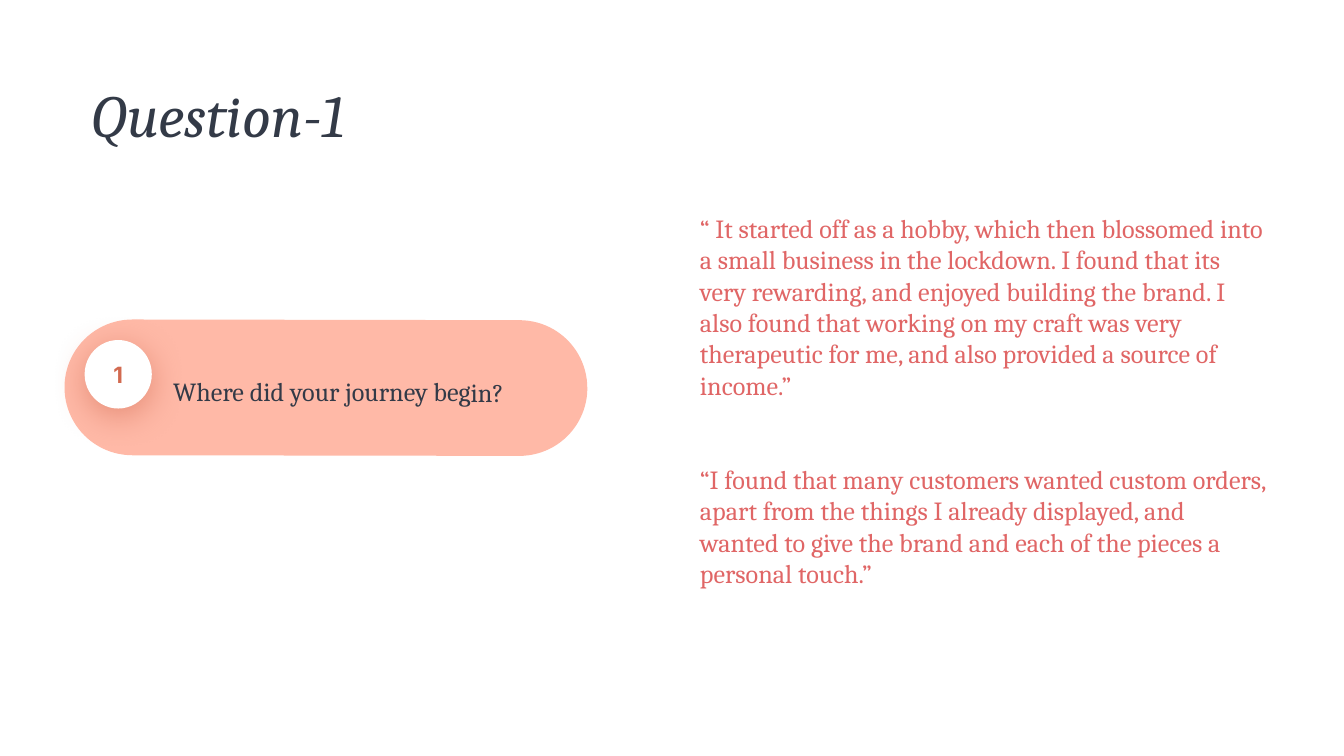
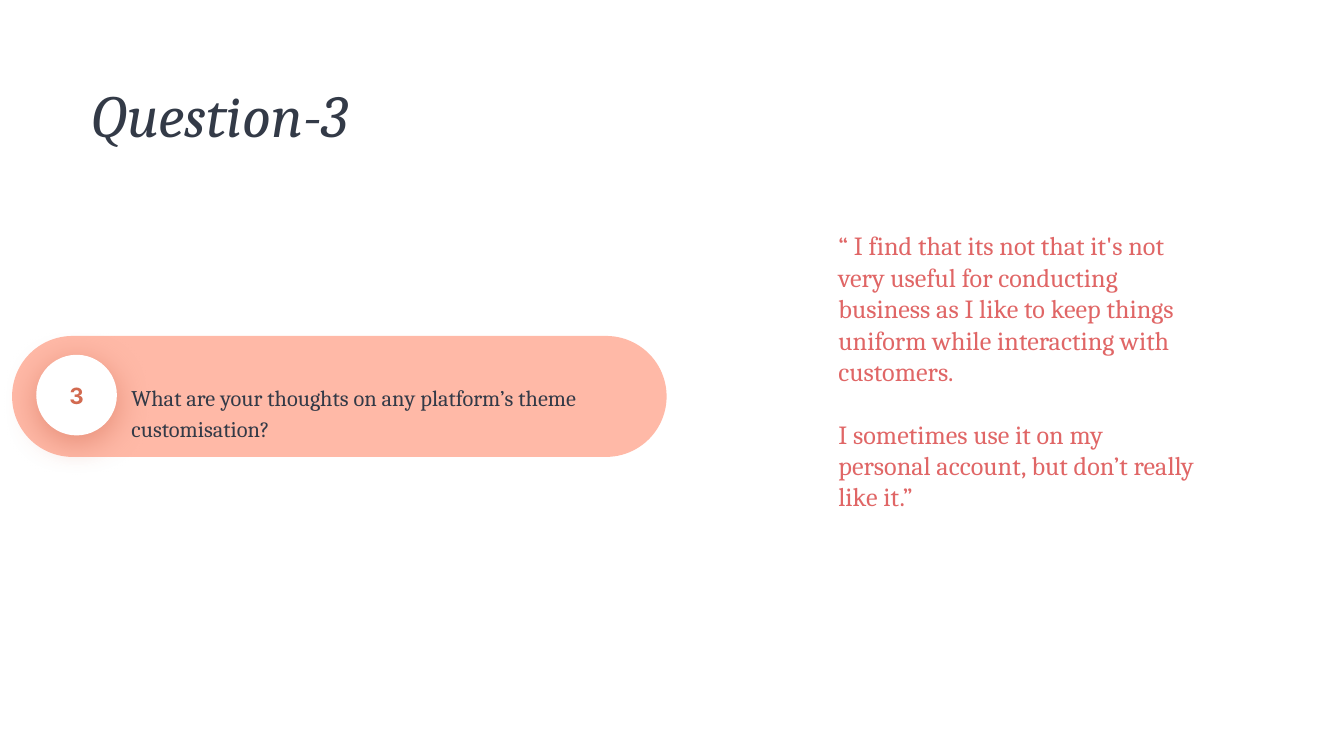
from lxml.etree import SubElement
from pptx import Presentation
from pptx.dml.color import RGBColor
from pptx.enum.shapes import MSO_SHAPE
from pptx.enum.text import MSO_ANCHOR, PP_ALIGN
from pptx.oxml.ns import qn
from pptx.util import Inches, Pt

# Content: boxes are left, top, width, height in inches
SLIDES = [
    {
        "number": "1",
        "ask": "Where did your journey begin?",
        "size": 14, "anchor": MSO_ANCHOR.MIDDLE, "tilt": 0.1,
        "pill": (0.48, 2.38, 3.89, 1.01),
        "badge": (0.63, 2.53, 0.5, 0.51),
        "label": (1.19, 2.56, 3.07, 0.67),
        "quote": (5.11, 1.48, 4.43, 3.03), "gap": 33.6,
        "answer": [
            "“ It started off as a hobby, which then blossomed into a small "
            "business in the lockdown. I found that its very rewarding, and "
            "enjoyed building the brand. I also found that working on my craft "
            "was very therapeutic for me, and also provided a source of income.”",
            "“I found that many customers wanted custom orders, apart from the "
            "things I already displayed, and wanted to give the brand and each "
            "of the pieces a personal touch.”",
        ],
    },
    {
        "number": "3",
        "ask": "What are your thoughts on any platform’s theme customisation?",
        "size": 12, "anchor": MSO_ANCHOR.TOP, "tilt": 0,
        "pill": (0.09, 2.5, 4.87, 0.9),
        "badge": (0.27, 2.64, 0.6, 0.6),
        "label": (0.88, 2.73, 3.72, 0.64),
        "quote": (6.14, 1.61, 2.86, 2.32), "gap": 16.8,
        "answer": [
            "“ I find that its not that it's not very useful for conducting "
            "business as I like to keep things uniform while interacting with "
            "customers.",
            "I sometimes use it on my personal account, but don’t really like it.”",
        ],
    },
]

# Shared look
INK, PEACH, RUST, ROSE, WHITE = "333A47", "FFB9A7", "D26A50", "E06666", "FFFFFF"
SERIF, SANS = "Cambria", "Inter"
WIDTH = Inches(10)
TITLE = (0.67, 0.64, 4.49, 0.48)


def color(code):
    return RGBColor.from_string(code)


def place(box):
    return [Inches(n) for n in box]


def write(shape, *lines, size=14, font=SERIF, ink=INK, bold=False, italic=False,
          align=PP_ALIGN.LEFT, anchor=MSO_ANCHOR.TOP, inset=0.1, lead=1.0, gap=0):
    frame = shape.text_frame
    frame.word_wrap = True
    frame.vertical_anchor = anchor
    frame.margin_left = frame.margin_right = Inches(inset)
    frame.margin_top = frame.margin_bottom = Inches(inset)
    for i, line in enumerate(lines):
        para = frame.add_paragraph() if i else frame.paragraphs[0]
        para.alignment, para.line_spacing = align, lead
        para.space_before = Pt(gap if i else 0)
        run = para.add_run()
        run.text = line
        face = run.font
        face.name, face.size = font, Pt(size)
        face.bold, face.italic = bold, italic
        face.color.rgb = color(ink)


def draw(slide, kind, box, fill):
    shape = slide.shapes.add_shape(kind, *place(box))
    shape.shadow.inherit = False
    shape.fill.solid()
    shape.fill.fore_color.rgb = color(fill)
    shape.line.fill.background()
    return shape


def glow(shape):
    # Soft shadow straight below the shape
    effect = shape._element.spPr.find(qn("a:effectLst"))
    outer = SubElement(effect, qn("a:outerShdw"), blurRad=str(Pt(18)),
                       dist=str(Pt(4)), dir="5400000", algn="ctr", rotWithShape="0")
    tint = SubElement(outer, qn("a:srgbClr"), val=RUST)
    SubElement(tint, qn("a:alpha"), val="55000")


def build(deck, item):
    slide = deck.slides.add_slide(deck.slide_layouts[5])
    slide.background.fill.solid()
    slide.background.fill.fore_color.rgb = color(WHITE)

    # Title
    title = slide.shapes.title
    title.left, title.top, title.width, title.height = place(TITLE)
    write(title, "Question-" + item["number"], size=32, italic=True,
          anchor=MSO_ANCHOR.MIDDLE, inset=0, lead=0.9)

    # Question pill with its number badge
    pill = draw(slide, MSO_SHAPE.ROUNDED_RECTANGLE, item["pill"], PEACH)
    pill.adjustments[0] = 0.5
    pill.rotation = item["tilt"]
    badge = draw(slide, MSO_SHAPE.OVAL, item["badge"], WHITE)
    glow(badge)
    write(badge, item["number"], size=12, font=SANS, ink=RUST, bold=True,
          align=PP_ALIGN.CENTER, anchor=MSO_ANCHOR.MIDDLE)
    label = slide.shapes.add_textbox(*place(item["label"]))
    label.rotation = item["tilt"]
    write(label, item["ask"], size=item["size"], anchor=item["anchor"], lead=1.15)

    # Answer
    quote = slide.shapes.add_textbox(*place(item["quote"]))
    write(quote, *item["answer"], ink=ROSE, gap=item["gap"])


def main():
    deck = Presentation()
    deck.slide_width, deck.slide_height = WIDTH, WIDTH * 9 // 16
    for item in SLIDES:
        build(deck, item)
    deck.save("out.pptx")


if __name__ == "__main__":
    main()
